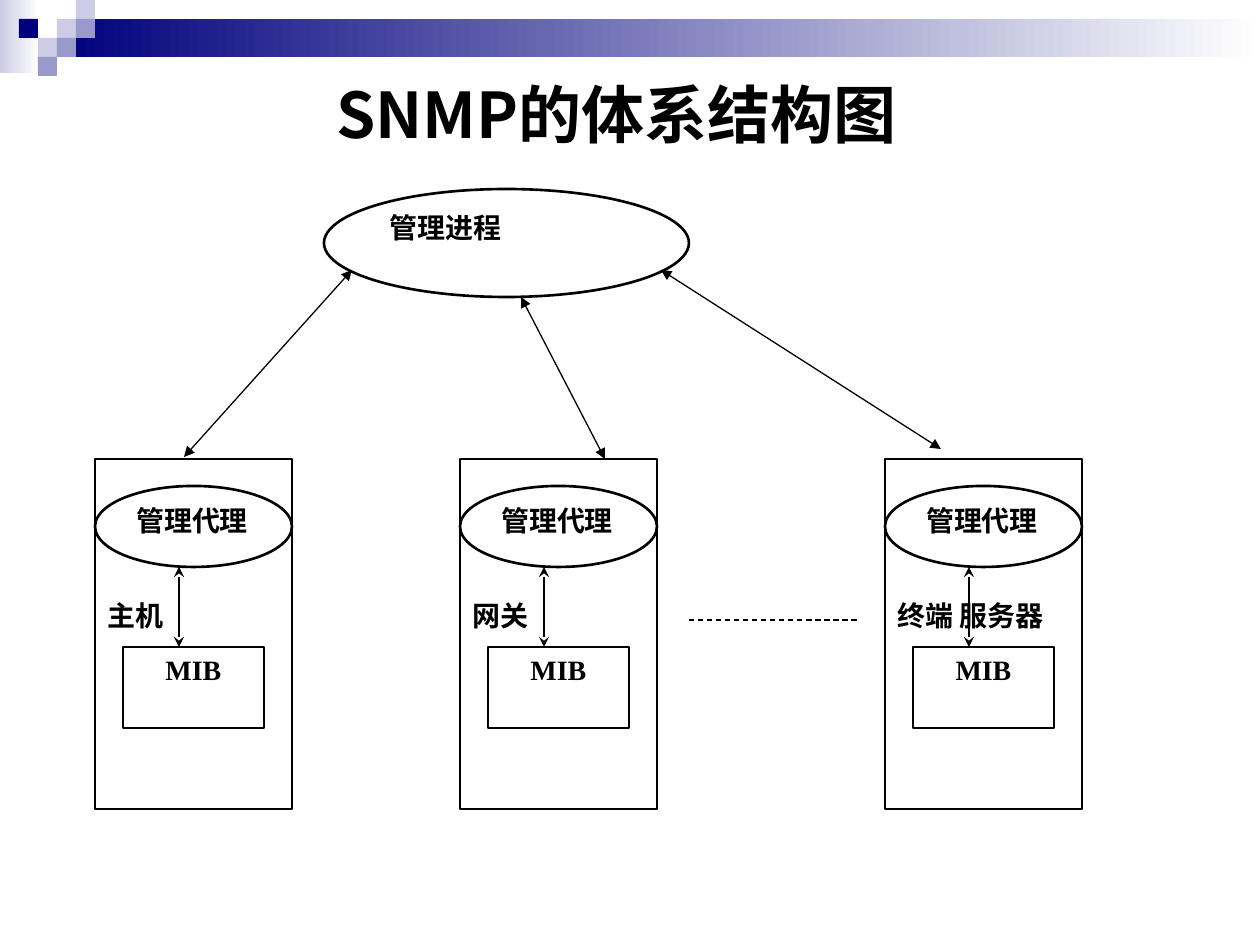
from lxml import etree
from pptx import Presentation
from pptx import util as u
from pptx.dml.color import RGBColor
from pptx.enum import dml, shapes, text
from pptx.oxml.ns import qn

PX = 914400 // 126
BLACK = RGBColor(0, 0, 0)
WHITE = RGBColor(255, 255, 255)
NAVY = RGBColor(0x00, 0x00, 0x7D)
MID_BLUE = RGBColor(0x99, 0x99, 0xCC)
PALE_BLUE = RGBColor(0xCC, 0xCC, 0xE6)
CJK_FONT = "Noto Sans CJK SC"
LATIN_FONT = "Times New Roman"
RECT = shapes.MSO_SHAPE.RECTANGLE
OVAL = shapes.MSO_SHAPE.OVAL


def px(*lengths):
    return [u.Emu(length * PX) for length in lengths]


def add_text(para, words, size, font, align):
    para.alignment = align
    span = para.add_run()
    span.text = words
    span.font.size = u.Pt(size)
    span.font.bold = True
    span.font.name = font
    span.font.color.rgb = BLACK
    east_asian = etree.SubElement(span.font._element, qn("a:ea"))
    east_asian.set("typeface", CJK_FONT)


def add_block(page, box, colors):
    """Borderless rectangle: one colour is solid, two run left to right."""
    block = page.shapes.add_shape(RECT, *px(*box))
    block.shadow.inherit = False
    block.line.fill.background()
    if len(colors) == 1:
        block.fill.solid()
        block.fill.fore_color.rgb = colors[0]
        return
    block.fill.gradient()
    block.fill.gradient_angle = 0
    for stop, color in zip(block.fill.gradient_stops, colors):
        stop.color.rgb = color


def add_node(page, kind, box, words, align=text.PP_ALIGN.JUSTIFY, top_inset=6):
    node = page.shapes.add_shape(kind, *px(*box))
    node.shadow.inherit = False
    node.fill.background()
    node.line.color.rgb = BLACK
    node.line.width = u.Pt(1.5)
    frame = node.text_frame
    frame.word_wrap = True
    frame.vertical_anchor = text.MSO_ANCHOR.TOP
    frame.margin_top = px(top_inset)[0]
    add_text(frame.paragraphs[0], words, 16, LATIN_FONT, align)


def add_line(page, start, end, width=0.75, arrow=None, dashed=False):
    line = page.shapes.add_connector(
        shapes.MSO_CONNECTOR.STRAIGHT, *px(*start, *end))
    line.line.color.rgb = BLACK
    line.line.width = u.Pt(width)
    if dashed:
        line.line.dash_style = dml.MSO_LINE.DASH
    if arrow:
        for tag in ("a:headEnd", "a:tailEnd"):
            etree.SubElement(line.line._get_or_add_ln(), qn(tag)).set("type", arrow)
    etree.SubElement(line._element.spPr, qn("a:effectLst"))


def draw_banner(page, left, top, width):
    side = 19
    add_block(page, (left, top, 39, 73), (PALE_BLUE, WHITE))
    add_block(page, (left + 3 * side, top + side, width - 3 * side, 2 * side),
              (NAVY, WHITE))
    squares = [(3, 1, PALE_BLUE), (4, 0, PALE_BLUE), (4, 1, MID_BLUE),
               (2, 2, PALE_BLUE), (1, 1, NAVY), (3, 2, MID_BLUE), (2, 3, MID_BLUE)]
    for column, row, color in squares:
        add_block(page, (left + (column * side), top + row * side, side, side), (color,))


def draw_title(page, box, words):
    title = page.shapes.title
    title.left, title.top, title.width, title.height = px(*box)
    frame = title.text_frame
    frame.word_wrap = True
    frame.auto_size = text.MSO_AUTO_SIZE.SHAPE_TO_FIT_TEXT
    frame.vertical_anchor = text.MSO_ANCHOR.BOTTOM
    add_text(frame.paragraphs[0], words, 36, CJK_FONT, text.PP_ALIGN.CENTER)


def draw_device(page, left, top, name):
    """Managed device: its agent exchanges data with its MIB."""
    add_node(page, RECT, (left, top, 197, 350), name, top_inset=140)
    add_node(page, OVAL, (left, top + 27, 197, 81), "管理代理")
    add_node(page, RECT, (left + 28, top + 188, 141, 81), "MIB",
             text.PP_ALIGN.CENTER)
    add_line(page, (left + 84, top + 108), (left + 84, top + 188), 1.5, "stealth")


def draw_architecture(page, left, top):
    add_node(page, OVAL, (left + 229, top, 365, 108), "管理进程")
    for offset, name in ((0, "主机"), (365, "网关"), (790, "终端 服务器")):
        draw_device(page, left + offset, top + 270, name)

    # Links from the manager to each device
    links = [((257, 81), (89, 268)), ((426, 108), (510, 270)), ((566, 81), (846, 260))]
    for (x1, y1), (x2, y2) in links:
        add_line(page, (left + x1, top + y1), (left + x2, top + y2), arrow="triangle")

    # Further devices
    add_line(page, (left + 594, top + 431), (left + 762, top + 431), dashed=True)


def main():
    deck = Presentation()
    deck.slide_width, deck.slide_height = px(1260, 945)
    page = deck.slides.add_slide(deck.slide_layouts.get_by_name("Title Only"))
    draw_banner(page, 0, 0, 1260)
    draw_title(page, (21, 69, 1191, 88), "SNMP的体系结构图")
    draw_architecture(page, 95, 189)
    deck.save("out.pptx")


if __name__ == "__main__":
    main()
